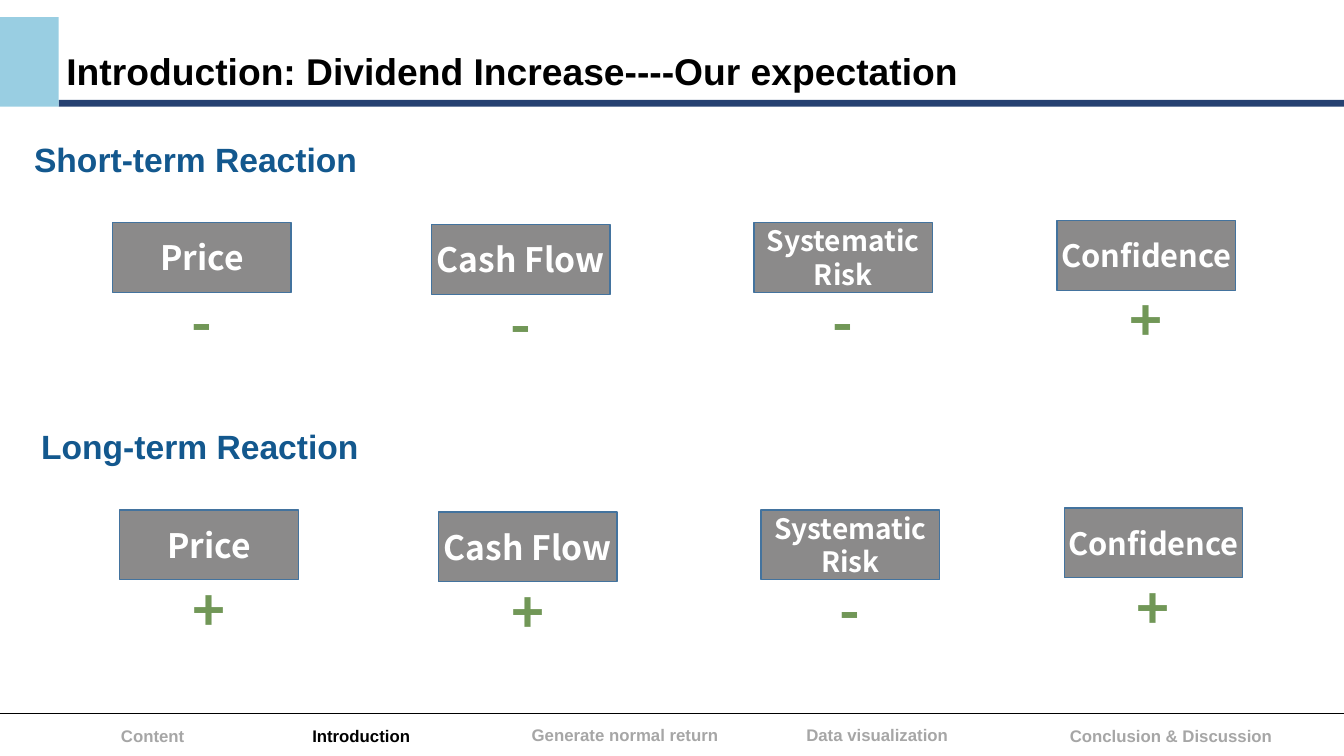
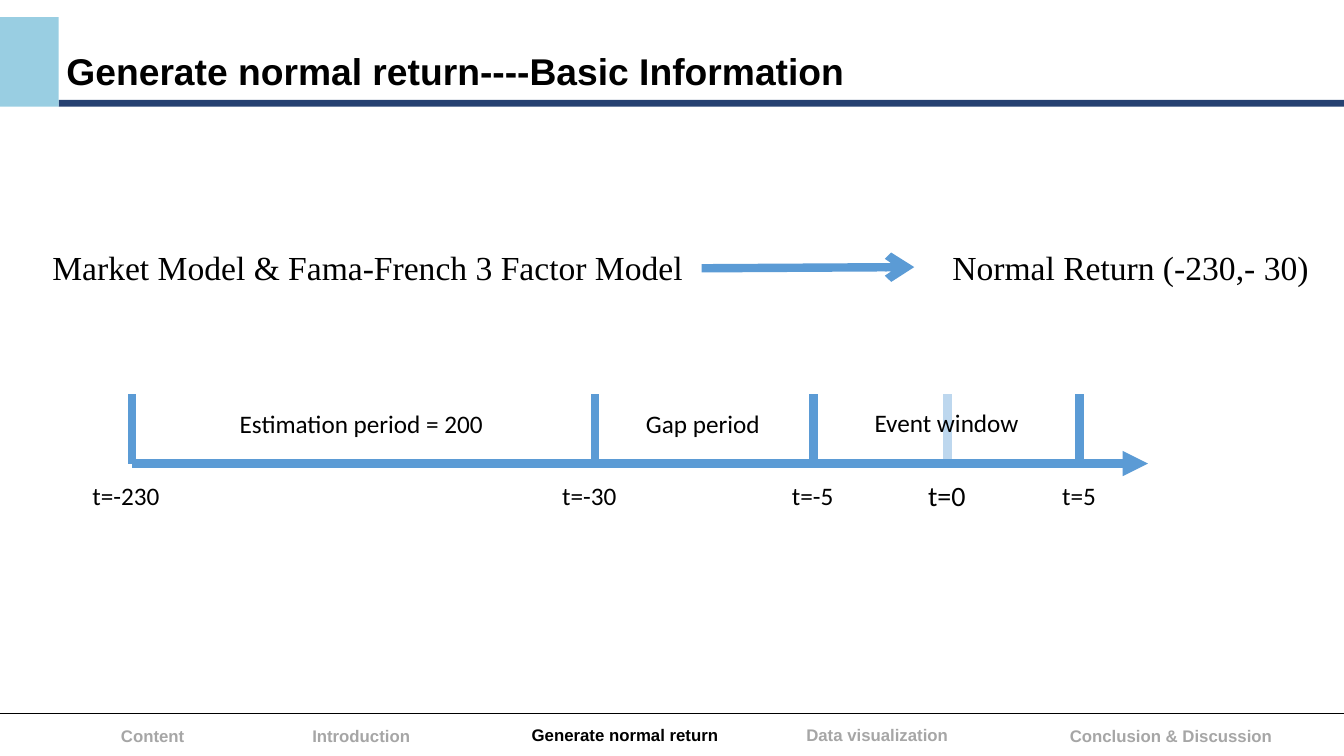
"""Build two slides on dividend expectations and the event-study timeline."""
from lxml.etree import SubElement
from pptx import Presentation
from pptx.dml.color import RGBColor
from pptx.enum.shapes import MSO_CONNECTOR, MSO_SHAPE
from pptx.enum.text import MSO_ANCHOR, PP_ALIGN
from pptx.oxml.ns import qn
from pptx.util import Cm, Pt

COLORS = {
    "text": "000000", "muted": "A6A6A6", "bar": "264171", "block": "99CEE2",
    "heading": "13588E", "card": "181717", "border": "43739E", "white": "FFFFFF",
    "sign": "719757", "axis": "5B9BD5", "event": "BDD7EE",
}
RGB = {name: RGBColor.from_string(value) for name, value in COLORS.items()}
CJK = "Noto Sans CJK TC"
NAV = [
    ("Content", 3.05, 18.24, 3.48),
    ("Introduction", 7.87, 18.24, 3.48),
    ("Generate normal return", 13.4, 18.22, 4.95),
    ("Data visualization", 20.32, 18.22, 4.57),
    ("Conclusion & Discussion", 26.96, 18.24, 5.4),
]


def add_text(s, text, x, y, w, h, size, font="Arial", color="text",
             bold=False, align=PP_ALIGN.LEFT, flush=False):
    tf = s.shapes.add_textbox(Cm(x), Cm(y), Cm(w), Cm(h)).text_frame
    tf.word_wrap = True
    if flush:
        tf.margin_left = tf.margin_right = tf.margin_bottom = 0
        tf.margin_top = Cm(0.05)
    tf.text = text
    p = tf.paragraphs[0]
    p.alignment = align
    p.font.name, p.font.size, p.font.bold = font, Pt(size), bold
    p.font.color.rgb = RGB[color]


def add_line(s, x1, y1, x2, y2, color="axis", width=6, arrow=None):
    line = s.shapes.add_connector(MSO_CONNECTOR.STRAIGHT, Cm(x1), Cm(y1), Cm(x2), Cm(y2))
    line.line.color.rgb = RGB[color]
    line.line.width = Pt(width)
    spPr = line.element.spPr
    if arrow:
        SubElement(spPr.find(qn("a:ln")), qn("a:tailEnd"), type=arrow)
    SubElement(spPr, qn("a:effectLst"))
    return line


prs = Presentation()
prs.slide_width, prs.slide_height = Cm(33.87), Cm(19.05)
layout = prs.slide_layouts[5]
title = layout.placeholders[0]
title.left, title.top, title.width, title.height = Cm(1.42), Cm(1.09), Cm(32.4), Cm(1.4)

titles = [
    ("Introduction: Dividend Increase----Our expectation", "Introduction"),
    ("Generate normal return----Basic Information", "Generate normal return"),
]
slides = []
for heading, section in titles:
    s = prs.slides.add_slide(layout)
    tf = s.shapes.title.text_frame
    tf.text = heading
    tf.vertical_anchor = MSO_ANCHOR.TOP
    p = tf.paragraphs[0]
    p.alignment = PP_ALIGN.LEFT
    p.font.name, p.font.size, p.font.bold = "Arial", Pt(26.6), True
    p.font.color.rgb = RGB["text"]
    for label, x, y, w in NAV:
        color = "text" if label == section else "muted"
        add_text(s, label, x, y, w, 0.56, 12, color=color, bold=True, flush=True)
    slides.append(s)
expectation, timeline = slides

bands = [("bar", 1.48, 2.52, 32.39, 0.17), ("block", 0, 0.43, 1.48, 2.26)]
for color, x, y, w, h in bands:
    band = expectation.shapes.add_shape(MSO_SHAPE.RECTANGLE, Cm(x), Cm(y), Cm(w), Cm(h))
    band.shadow.inherit = False
    band.fill.solid()
    band.fill.fore_color.rgb = RGB[color]
    band.line.fill.background()
    layout.shapes.element.append(band.element)
rule = add_line(expectation, 0, 17.98, 33.87, 17.98, "text", 0.75)
layout.shapes.element.append(rule.element)

cards = [
    ("Price", 2.84, 5.61, 24),
    ("Cash Flow", 10.87, 5.66, 24),
    ("Systematic\nRisk", 19, 5.61, 20),
    ("Confidence", 26.64, 5.56, 22),
]
reactions = [
    ("Short-term Reaction", 0, 0, "---+"),
    ("Long-term Reaction", 0.18, 7.24, "++-+"),
]
for heading, dx, dy, signs in reactions:
    add_text(expectation, heading, 0.86 + dx, 3.44 + dy, 12.4, 1.07, 24,
             color="heading", bold=True, flush=True)
    for (label, x, y, size), sign in zip(cards, signs):
        x, y = x + dx, y + dy
        card = expectation.shapes.add_shape(MSO_SHAPE.RECTANGLE, Cm(x), Cm(y), Cm(4.5), Cm(1.76))
        card.shadow.inherit = False
        card.fill.solid()
        card.fill.fore_color.rgb = RGB["card"]
        fill = card.element.spPr.find(qn("a:solidFill"))
        SubElement(fill[0], qn("a:alpha"), val="50000")
        card.line.color.rgb = RGB["border"]
        card.line.width = Pt(1)
        tf = card.text_frame
        tf.margin_left = tf.margin_right = tf.margin_top = tf.margin_bottom = 0
        tf.word_wrap = False
        tf.vertical_anchor = MSO_ANCHOR.MIDDLE
        tf.text = label
        for p in tf.paragraphs:
            p.alignment = PP_ALIGN.CENTER
            p.font.name, p.font.size, p.font.bold = CJK, Pt(size), True
            p.font.color.rgb = RGB["white"]
        add_text(expectation, sign, x + 0.52, y + 1.52, 3.45, 1.96, 40, CJK,
                 "sign", True, PP_ALIGN.CENTER)

ticks = [
    ("t=-230", 3.33, 2.08, 11.99, 18, "axis"),
    ("t=-30", 14.99, 13.92, 11.99, 18, "axis"),
    ("t=-5", 20.5, 19.71, 11.99, 18, "axis"),
    ("t=0", 23.88, 23.14, 11.94, 20, "event"),
    ("t=5", 27.2, 26.52, 11.99, 18, "axis"),
]
for label, x, label_x, label_y, size, color in ticks:
    add_line(timeline, x, 11.68, x, 9.93, color)
    add_text(timeline, label, label_x, label_y, 2.5, 1.02, size, "Calibri")
add_line(timeline, 3.33, 11.68, 28.93, 11.68, arrow="triangle")

periods = [
    ("Estimation period = 200", 5.79, 10.16, 7),
    ("Gap period", 16.03, 10.16, 3.6),
    ("Event window", 21.79, 10.13, 4.4),
]
for label, x, y, w in periods:
    add_text(timeline, label, x, y, w, 1.02, 18, "Calibri")

models = [
    ("Market Model & Fama-French 3 Factor Model", 1.07, 16.7),
    ("Normal Return (-230,- 30)", 23.75, 9.7),
]
for label, x, w in models:
    add_text(timeline, label, x, 6.1, w, 1.27, 24, "Times New Roman")
add_line(timeline, 17.68, 6.76, 23.04, 6.73, arrow="arrow")

prs.save("out.pptx")
